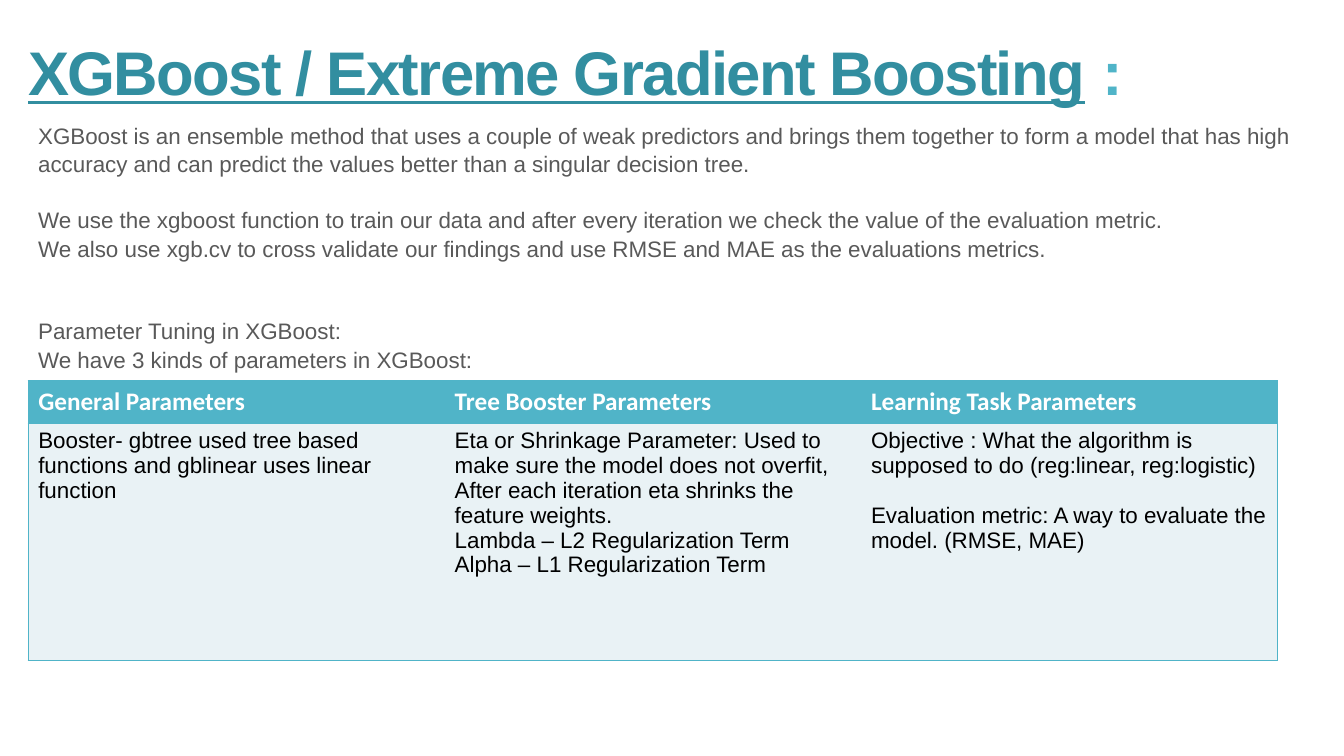
import pptx
import pptx.util
import pptx.dml.color
import pptx.enum.text
import pptx.oxml.ns
import lxml.etree

TITLE = [("XGBoost / Extreme Gradient Boosting", "title", True), (" ", "title", False), (":", "accent", False)]
BODY = [
    (0, "XGBoost is an ensemble method that uses a couple of weak predictors and brings them together to form "
        "a model that has high accuracy and can predict the values better than a singular decision tree."),
    (1, "We use the xgboost function to train our data and after every iteration we check the value of the "
        "evaluation metric."),
    (0, "We also use xgb.cv to cross validate our findings and use RMSE and MAE as the evaluations metrics."),
    (2, "Parameter Tuning in XGBoost:"),
    (0, "We have 3 kinds of parameters in XGBoost:"),
]
PARAMETERS = {
    "General Parameters": [(0, "Booster- gbtree used tree based functions and gblinear uses linear function")],
    "Tree Booster Parameters": [
        (0, "Eta or Shrinkage Parameter: Used to make sure the model does not overfit, After each iteration eta "
            "shrinks the feature weights."),
        (0, "Lambda – L2 Regularization Term"),
        (0, "Alpha – L1 Regularization Term"),
    ],
    "Learning Task Parameters": [
        (0, "Objective : What the algorithm is supposed to do (reg:linear, reg:logistic)"),
        (1, "Evaluation metric: A way to evaluate the model. (RMSE, MAE)"),
    ],
}
THEME = {
    "title": "328EA0", "accent": "50B4C8", "body": "595959", "cell": "E9F2F5", "header_text": "FFFFFF",
    "cell_text": "000000", "font": "Arial", "header_font": "Calibri",
    "title_size": 44, "header_size": 18, "text_size": 16, "line_height": 1.12, "body_spacing": 1.07,
}
ROW_HEIGHTS = (0.42, 2.35)
LEFT, TABLE_WIDTH = 0.28, 12.39
NO_STYLE = "{2D5ABB26-0587-4C30-8999-92F81FD0307C}"


def color(name):
    return pptx.dml.color.RGBColor.from_string(THEME[name])


def box(*lengths):
    return [pptx.util.Inches(length) for length in lengths]


def style_font(font, name, size, color_name, bold=False):
    font.name, font.size, font.bold = THEME[name], pptx.util.Pt(THEME[size]), bold
    font.color.rgb = color(color_name)


def write_paragraphs(frame, items, color_name, spacing=1.0):
    line = THEME["text_size"] * THEME["line_height"] * spacing
    for index, (blank_lines, text) in enumerate(items):
        paragraph = frame.add_paragraph() if index else frame.paragraphs[0]
        paragraph.text = text
        paragraph.line_spacing = spacing
        paragraph.space_before = pptx.util.Pt(round(blank_lines * line, 1))
        style_font(paragraph.font, "font", "text_size", color_name)


def add_border(cell, side):
    properties = cell._tc.get_or_add_tcPr()
    qn = pptx.oxml.ns.qn
    line = lxml.etree.SubElement(properties, qn(f"a:ln{side}"), w=str(pptx.util.Pt(1)))
    fill = lxml.etree.SubElement(line, qn("a:solidFill"))
    lxml.etree.SubElement(fill, qn("a:srgbClr"), val=THEME["accent"])


presentation = pptx.Presentation()
presentation.slide_width, presentation.slide_height = box(13.33, 7.5)
slide = presentation.slides.add_slide(presentation.slide_layouts[5])

title = slide.shapes.title
title.left, title.top, title.width, title.height = box(0.18, 0.4, 12.55, 0.73)
title.text_frame.vertical_anchor = pptx.enum.text.MSO_ANCHOR.MIDDLE
heading = title.text_frame.paragraphs[0]
heading.alignment = pptx.enum.text.PP_ALIGN.LEFT
heading.line_spacing = 0.85
for text, color_name, underlined in TITLE:
    run = heading.add_run()
    run.text = text
    style_font(run.font, "font", "title_size", color_name, True)
    run.font.underline = underlined
    run._r.get_or_add_rPr().set("spc", "-120")

body = slide.shapes.add_textbox(*box(LEFT, 1.14, 12.72, 3.9)).text_frame
body.word_wrap = True
write_paragraphs(body, BODY, "body", THEME["body_spacing"])

column_count = len(PARAMETERS)
table = slide.shapes.add_table(
    len(ROW_HEIGHTS), column_count, *box(LEFT, 3.78, TABLE_WIDTH, sum(ROW_HEIGHTS))
).table
table._tbl.tblPr.find(pptx.oxml.ns.qn("a:tableStyleId")).text = NO_STYLE
for row, height in zip(table.rows, ROW_HEIGHTS):
    row.height = pptx.util.Inches(height)

for column, (header, items) in enumerate(PARAMETERS.items()):
    table.columns[column].width = pptx.util.Inches(TABLE_WIDTH / column_count)
    sides = ("L" if column == 0 else "") + ("R" if column == column_count - 1 else "") + "TB"
    header_cell, detail_cell = table.cell(0, column), table.cell(1, column)
    for cell, fill_name in ((header_cell, "accent"), (detail_cell, "cell")):
        for side in sides:
            add_border(cell, side)
        cell.fill.solid()
        cell.fill.fore_color.rgb = color(fill_name)
    header_cell.text = header
    style_font(header_cell.text_frame.paragraphs[0].font, "header_font", "header_size", "header_text", True)
    write_paragraphs(detail_cell.text_frame, items, "cell_text")

presentation.save("out.pptx")
